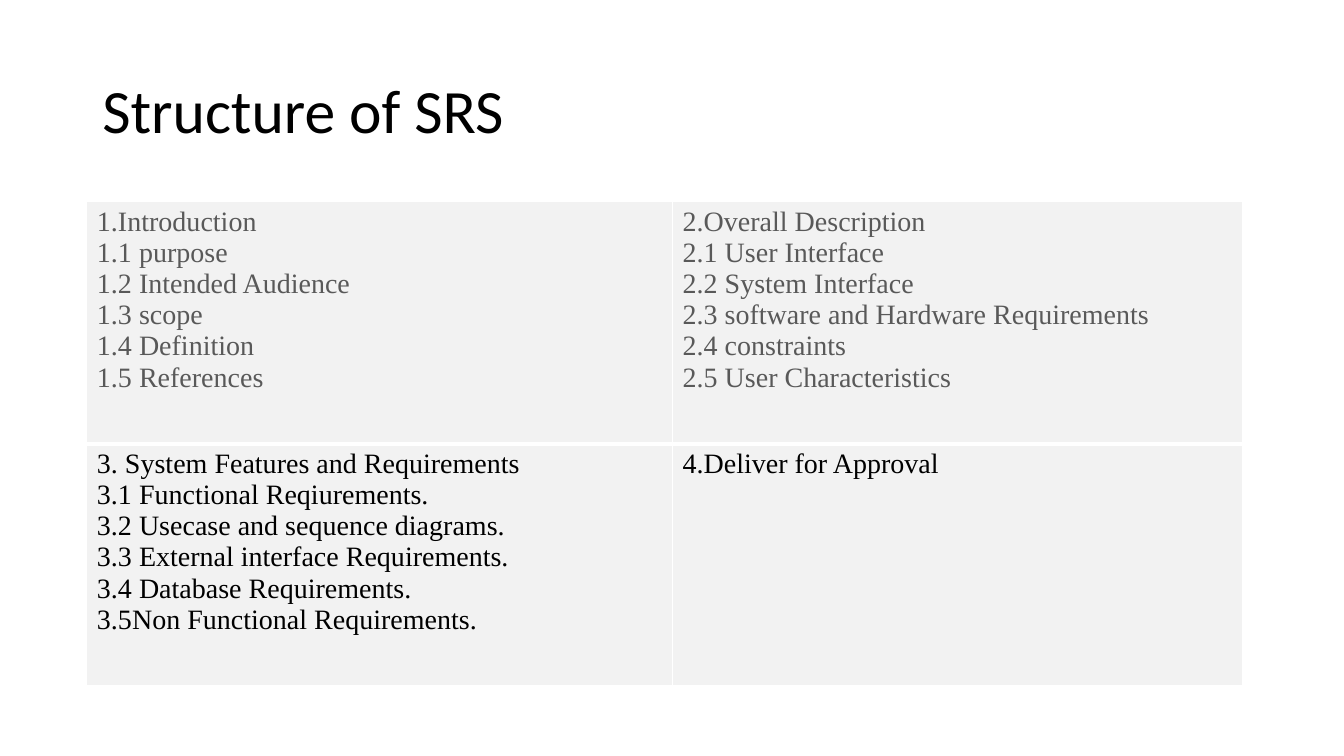
from lxml import etree
from pptx import Presentation
from pptx.dml.color import RGBColor
from pptx.enum.text import MSO_ANCHOR
from pptx.oxml.ns import qn
from pptx.util import Cm, Pt


def add_run(p, text, font, size, color):
    r = p.add_run()
    r.text = text
    r.font.name = font
    r.font.size = Pt(size)
    r.font.color.rgb = RGBColor.from_string(color)


def set_border(cell, side, width):
    ln = etree.SubElement(cell._tc.get_or_add_tcPr(), qn("a:" + side), w=str(Pt(width)))
    fill = etree.SubElement(ln, qn("a:solidFill"))
    etree.SubElement(fill, qn("a:srgbClr"), val="FFFFFF")


prs = Presentation()
prs.slide_width, prs.slide_height = Cm(33.87), Cm(19.05)
s = prs.slides.add_slide(prs.slide_layouts[6])

# Title
sp = s.shapes.add_textbox(Cm(2.33), Cm(1.01), Cm(29.21), Cm(3.68))
tf = sp.text_frame
tf.word_wrap = True
tf.vertical_anchor = MSO_ANCHOR.MIDDLE
p = tf.paragraphs[0]
p.line_spacing = 0.9
add_run(p, "Structure of SRS", "Calibri", 44, "000000")

# Sections, one list per table cell
sections = [
    [
        ["1.Introduction", "1.1 purpose", "1.2 Intended Audience",
         "1.3 scope", "1.4 Definition", "1.5 References"],
        ["2.Overall Description", "2.1 User Interface", "2.2 System Interface",
         "2.3 software and Hardware Requirements", "2.4 constraints",
         "2.5 User Characteristics"],
    ],
    [
        ["3. System Features and Requirements", "3.1 Functional Reqiurements.",
         "3.2 Usecase and sequence diagrams.", "3.3 External interface Requirements.",
         "3.4 Database Requirements.", "3.5Non Functional Requirements."],
        ["4.Deliver for Approval"],
    ],
]
row_colors = ["595959", "000000"]
row_borders = [
    {"lnL": 1, "lnR": 1, "lnT": 1, "lnB": 3},
    {"lnL": 1, "lnR": 1, "lnT": 3, "lnB": 1},
]

# Table
table = s.shapes.add_table(2, 2, Cm(2.19), Cm(5.08), Cm(29.13), Cm(12.2)).table
table.first_row = False
table.horz_banding = False
table.columns[0].width, table.columns[1].width = Cm(14.76), Cm(14.37)

for i, row in enumerate(sections):
    table.rows[i].height = Cm(6.1)
    for j, lines in enumerate(row):
        cell = table.cell(i, j)
        for side, width in row_borders[i].items():
            set_border(cell, side, width)
        cell.fill.solid()
        cell.fill.fore_color.rgb = RGBColor.from_string("F2F2F2")
        tf = cell.text_frame
        for k, line in enumerate(lines):
            p = tf.add_paragraph() if k else tf.paragraphs[0]
            add_run(p, line, "Times New Roman", 20, row_colors[i])

prs.save("out.pptx")
